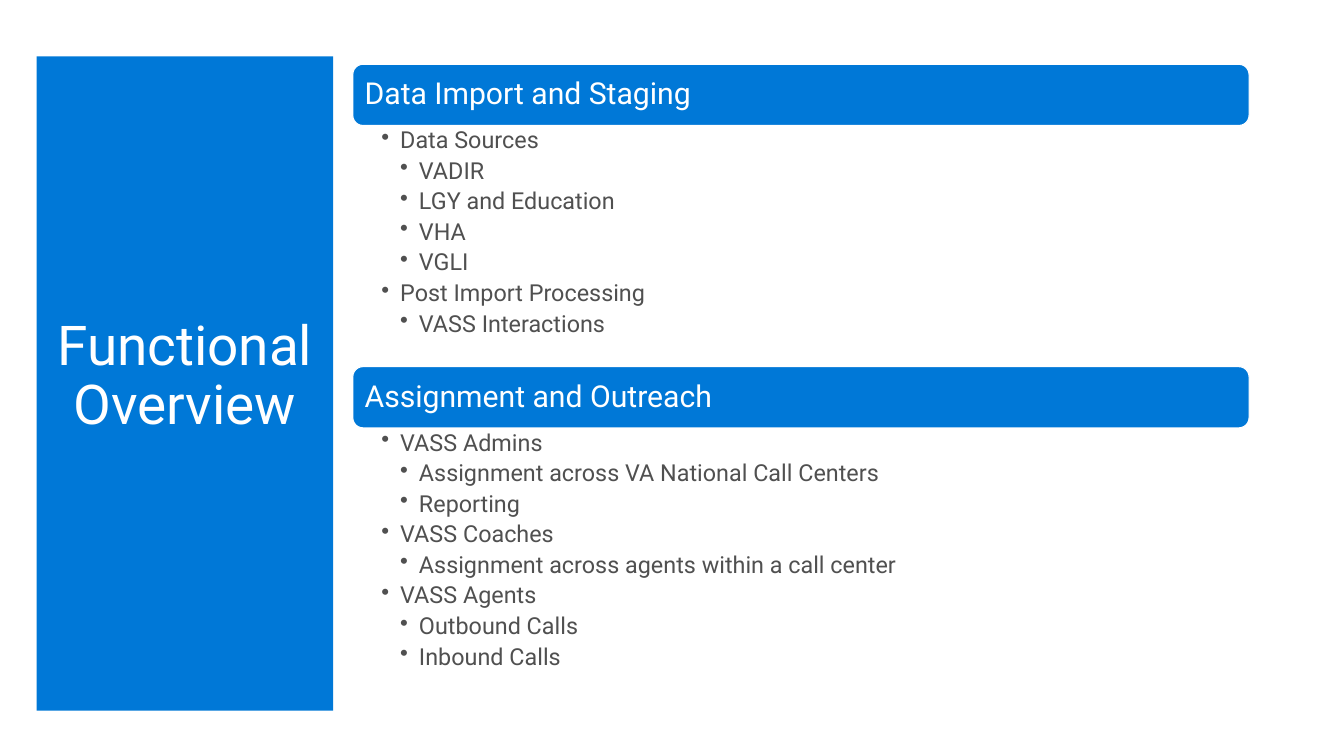
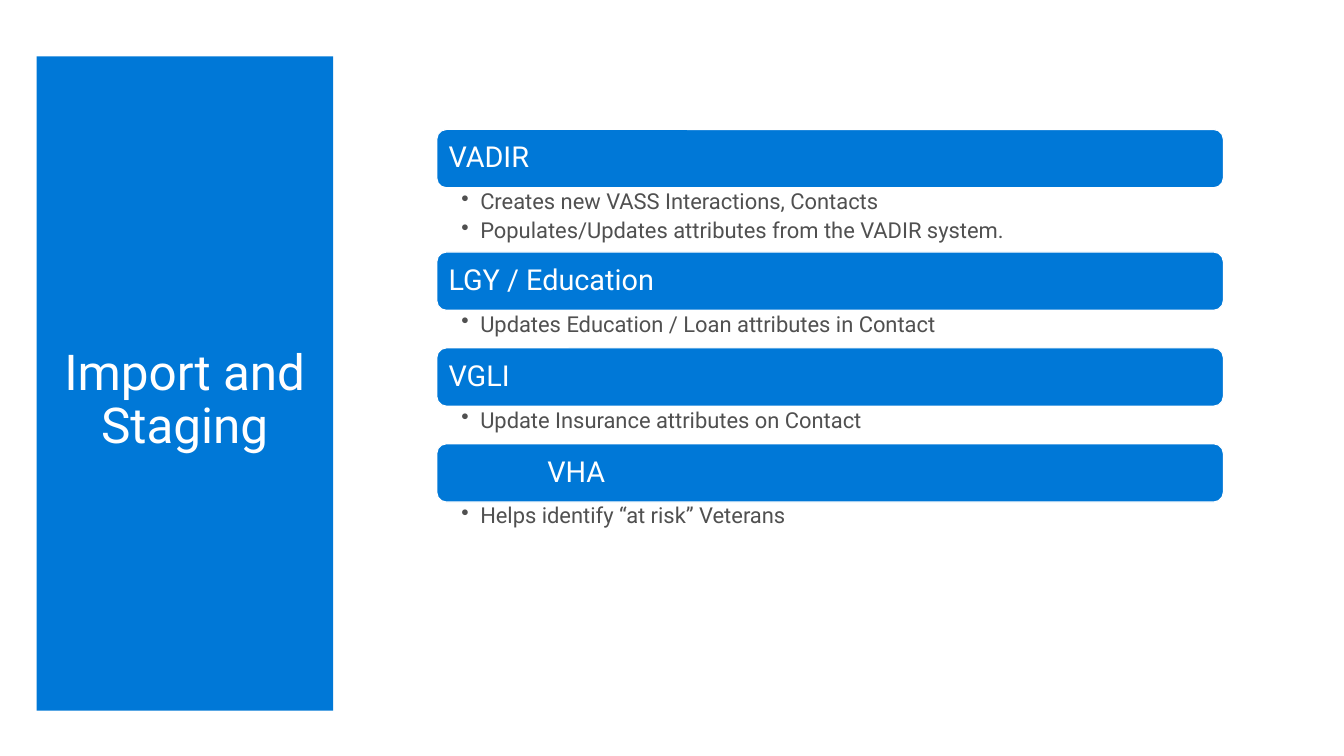
from dataclasses import dataclass

from lxml.etree import SubElement
from pptx import Presentation
from pptx.dml.color import RGBColor
from pptx.enum.shapes import MSO_SHAPE
from pptx.enum.text import MSO_ANCHOR, MSO_AUTO_SIZE, PP_ALIGN
from pptx.oxml.ns import qn
from pptx.util import Inches, Pt


@dataclass(frozen=True)
class Theme:
    font: str = "Roboto"
    blue: RGBColor = RGBColor(0x00, 0x78, 0xD7)
    white: RGBColor = RGBColor(0xFF, 0xFF, 0xFF)
    grey: RGBColor = RGBColor(0x50, 0x50, 0x50)
    line_spacing: float = 0.9
    outline: float = 0.85
    bullet_step: float = 0.19


theme = Theme()

# Each section: heading, heading indent, body height, bullets as (level, text)
slides = [
    {
        "title": "Functional Overview", "title_size": 40, "title_drop": 2.65,
        "left": 3.57, "top": 0.65, "width": 9.07, "bar_height": 0.62,
        "heading_size": 22, "bullet_size": 17, "body_inset": 0.29,
        "sections": [
            ("Data Import and Staging", 0, 2.44, [
                (1, "Data Sources"),
                (2, "VADIR"),
                (2, "LGY and Education"),
                (2, "VHA"),
                (2, "VGLI"),
                (1, "Post Import Processing"),
                (2, "VASS Interactions"),
            ]),
            ("Assignment and Outreach", 0, 2.79, [
                (1, "VASS Admins"),
                (2, "Assignment across VA National Call Centers"),
                (2, "Reporting"),
                (1, "VASS Coaches"),
                (2, "Assignment across agents within a call center"),
                (1, "VASS Agents"),
                (2, "Outbound Calls"),
                (2, "Inbound Calls"),
            ]),
        ],
    },
    {
        "title": "Import and Staging", "title_size": 36, "title_drop": 2.95,
        "left": 4.42, "top": 1.31, "width": 7.96, "bar_height": 0.59,
        "heading_size": 21, "bullet_size": 16, "body_inset": 0.25,
        "sections": [
            ("VADIR", 0, 0.65, [
                (1, "Creates new VASS Interactions, Contacts"),
                (1, "Populates/Updates attributes from the VADIR system."),
            ]),
            ("LGY / Education", 0, 0.38, [
                (1, "Updates Education / Loan attributes in Contact"),
            ]),
            ("VGLI", 0, 0.38, [(1, "Update Insurance attributes on Contact")]),
            ("VHA", 1, 0.38, [(1, "Helps identify “at risk” Veterans")]),
        ],
    },
]


def set_frame(text_frame, left, top, right, bottom, anchor):
    text_frame.word_wrap = True
    text_frame.auto_size = MSO_AUTO_SIZE.NONE
    text_frame.vertical_anchor = anchor
    text_frame.margin_left, text_frame.margin_top = Inches(left), Inches(top)
    text_frame.margin_right, text_frame.margin_bottom = Inches(right), Inches(bottom)


def write(paragraph, text, size, color, alignment=PP_ALIGN.LEFT):
    paragraph.text = text
    paragraph.alignment = alignment
    paragraph.line_spacing = theme.line_spacing
    font = paragraph.runs[0].font
    font.name, font.size, font.color.rgb = theme.font, Pt(size), color


presentation = Presentation()
presentation.slide_width = Inches(13.6)
presentation.slide_height = Inches(7.65)
title_only = presentation.slide_layouts[5]

for content in slides:
    slide = presentation.slides.add_slide(title_only)

    # Title band
    title = slide.shapes.title
    title.left, title.top = Inches(0.37), Inches(0.57)
    title.width, title.height = Inches(3), Inches(6.62)
    title.fill.solid()
    title.fill.fore_color.rgb = theme.blue
    set_frame(title.text_frame, 0.2, content["title_drop"], 0.2, 0.16, MSO_ANCHOR.TOP)
    write(title.text_frame.paragraphs[0], content["title"],
          content["title_size"], theme.white, PP_ALIGN.CENTER)

    # Stacked sections
    left, width = Inches(content["left"]), Inches(content["width"])
    bar_height = Inches(content["bar_height"])
    top = Inches(content["top"])
    for heading, indent, body_height, bullets in content["sections"]:
        # Heading bar
        bar = slide.shapes.add_shape(
            MSO_SHAPE.ROUNDED_RECTANGLE, left, top, width, bar_height)
        bar.shadow.inherit = False
        bar.fill.solid()
        bar.fill.fore_color.rgb = theme.blue
        bar.line.color.rgb = theme.white
        bar.line.width = Pt(theme.outline)
        set_frame(bar.text_frame, 0.09 + indent, 0.09, 0.09, 0.09, MSO_ANCHOR.MIDDLE)
        write(bar.text_frame.paragraphs[0], heading,
              content["heading_size"], theme.white)
        top += bar_height

        # Bulleted body
        body = slide.shapes.add_textbox(left, top, width, Inches(body_height))
        text_frame = body.text_frame
        set_frame(text_frame, content["body_inset"], 0.03, 0.17, 0.03, MSO_ANCHOR.TOP)
        for number, (level, text) in enumerate(bullets):
            paragraph = text_frame.add_paragraph() if number else text_frame.paragraphs[0]
            write(paragraph, text, content["bullet_size"], theme.grey)
            paragraph.level = level
            paragraph.space_after = Pt(round(0.23 * content["bullet_size"], 1))
            properties = paragraph._p.get_or_add_pPr()
            properties.set("marL", str(Inches(theme.bullet_step * level)))
            properties.set("indent", str(-Inches(theme.bullet_step)))
            SubElement(properties, qn("a:buChar"), char="•")
        top += Inches(body_height)

presentation.save("out.pptx")
